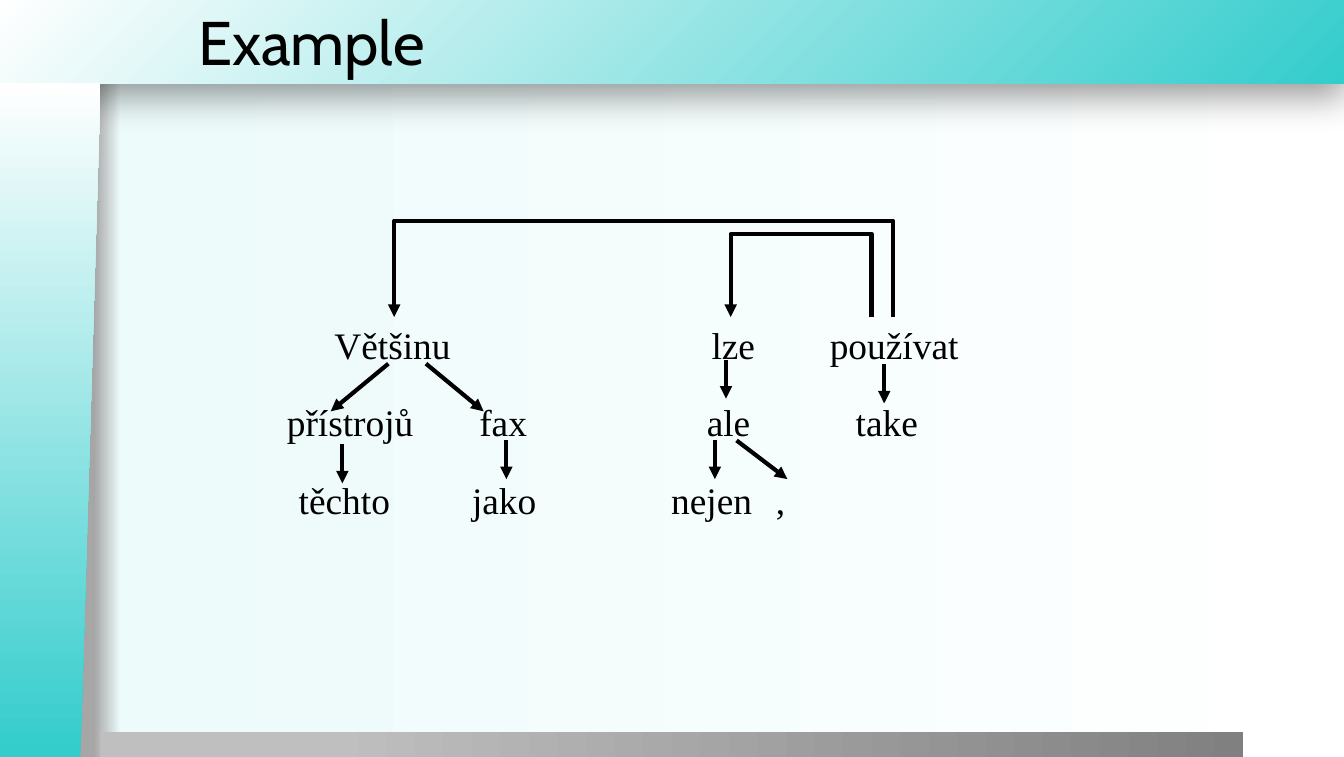
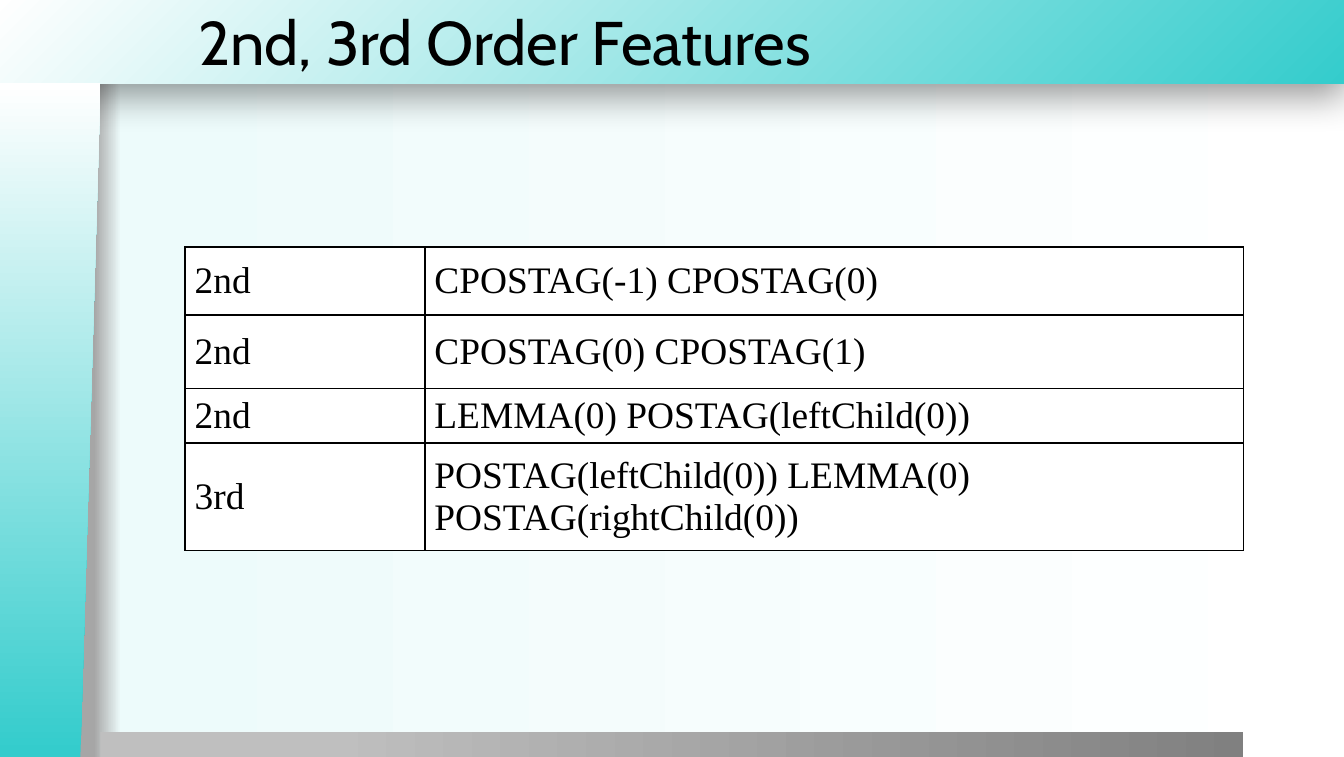
from dataclasses import dataclass

from lxml.etree import SubElement as Sub
from pptx import Presentation
from pptx.dml.color import RGBColor as Rgb
from pptx.enum.shapes import MSO_CONNECTOR as Link, MSO_SHAPE as Kind
from pptx.enum.text import MSO_ANCHOR as Anchor, MSO_AUTO_SIZE as Auto, PP_ALIGN as Align
from pptx.oxml.ns import qn
from pptx.util import Cm, Pt


@dataclass(frozen=True)
class Theme:
    """Colours, fonts and sizes of the deck."""
    ink: str = "000000"
    paper: str = "FFFFFF"
    teal: str = "34CCCC"
    mint: str = "EDFBFB"
    edge: str = "A6A6A6"
    light: str = "BFBFBF"
    dark: str = "808080"
    head: str = "Cabin"
    body: str = "Times New Roman"
    big: float = 33
    text: float = 20
    line: float = 2.25
    rule: float = 1


T = Theme()
ROW, STEP = 6.08, 1.47
WORDS = [
    ("Většinu", 7.42, 0), ("lze", 13.86, 0), ("používat", 16.9, 0),
    ("přístrojů", 6.62, 1), ("fax", 9.51, 1), ("ale", 13.77, 1), ("take", 16.76, 1),
    ("těchto", 6.51, 2), ("jako", 9.53, 2), ("nejen", 13.45, 2), (",", 14.75, 2),
]
ARROWS = [
    (7.34, 6.87, 6.25, 7.77), (8.05, 6.87, 9.14, 7.77),
    (13.72, 6.8, 13.72, 7.53), (16.71, 6.87, 16.71, 7.62),
    (6.47, 8.39, 6.47, 9.13), (9.57, 8.32, 9.57, 9.05),
    (13.51, 8.32, 13.51, 9.05), (13.92, 8.32, 14.88, 9.05),
]
ARCS = [(16.47, 13.81, 4.42), (16.88, 7.45, 4.17)]
BASE = 5.99
RULES = [
    ("2nd", "CPOSTAG(-1) CPOSTAG(0)"),
    ("2nd", "CPOSTAG(0) CPOSTAG(1)"),
    ("2nd", "LEMMA(0) POSTAG(leftChild(0))"),
    ("3rd", "POSTAG(leftChild(0)) LEMMA(0) POSTAG(rightChild(0))"),
]
COLS = [4.53, 15.47]
ROWS = [1.28, 1.39, 1.03, 2.03]


def tint(node, color, alpha=None):
    """Add an RGB colour to an XML node."""
    item = Sub(node, qn("a:srgbClr"), val=color)
    if alpha:
        Sub(item, qn("a:alpha"), val=str(alpha * 1000))


def blend(fill, root, stops, round_=False):
    """Give a fill a level or a corner gradient."""
    fill.gradient()
    grad = next(root.iter(qn("a:gradFill")))
    grad.clear()
    grad.set("rotWithShape", "1")
    group = Sub(grad, qn("a:gsLst"))
    for pos, color in stops:
        tint(Sub(group, qn("a:gs"), pos=str(pos * 1000)), color)
    if round_:
        path = Sub(grad, qn("a:path"), path="circle")
        Sub(path, qn("a:fillToRect"), l="100000", t="100000")
    else:
        Sub(grad, qn("a:lin"), ang="0", scaled="0")


def band(slide, kind, box, stops, round_=False):
    """Draw a band with a gradient and no outline."""
    shape = slide.shapes.add_shape(kind, *map(Cm, box))
    shape.shadow.inherit = False
    shape.line.fill.background()
    blend(shape.fill, shape.element, stops, round_)
    return shape


def dress(layout, slide):
    """Put the background and the bands on the layout."""
    blend(layout.background.fill, layout.element,
          [(7, T.edge), (9, T.mint), (100, T.paper)])
    top = band(slide, Kind.RECTANGLE, (-0.02, 0, 25.42, 1.58),
               [(0, T.teal), (100, T.paper)], True)
    shade = Sub(top.element.spPr.find(qn("a:effectLst")), qn("a:outerShdw"),
                blurRad=str(Pt(20)), dist=str(Pt(6)), dir="5400000",
                algn="t", rotWithShape="0")
    tint(shade, T.ink, 40)
    foot = band(slide, Kind.RECTANGLE, (1.9, 13.83, 21.59, 0.48),
                [(20, T.light), (100, T.dark)])
    side = band(slide, Kind.FLOWCHART_MANUAL_INPUT, (-5.43, 6.99, 12.75, 1.91),
                [(1, T.teal), (100, T.paper)])
    side.rotation = 270
    side.element.spPr.xfrm.set("flipV", "1")
    for n, shape in enumerate((top, foot, side)):
        shape.element.nvSpPr.cNvPr.set("id", str(100 + n))
        layout.shapes.element.insert(2 + n, shape.element)


def write(para, text, font=T.body, size=T.text):
    """Add one run in the given font."""
    run = para.add_run()
    run.text = text
    run.font.name = font
    run.font.size = Pt(size)
    run.font.color.rgb = Rgb.from_string(T.ink)


def head(slide, text):
    """Place and fill the title."""
    shape = slide.shapes.title
    shape.left, shape.top, shape.width, shape.height = map(Cm, (3.49, 0, 20.9, 1.55))
    frame = shape.text_frame
    frame.auto_size = Auto.NONE
    frame.word_wrap = True
    frame.vertical_anchor = Anchor.MIDDLE
    para = frame.paragraphs[0]
    para.alignment = Align.LEFT
    write(para, text, T.head, T.big)


def word(slide, text, mid, level):
    """Centre a word of the tree on its level."""
    wide = 2.67 if len(text) > 1 else 0.6
    box = slide.shapes.add_textbox(
        Cm(mid - wide / 2), Cm(ROW + level * STEP), Cm(wide), Cm(0.8))
    frame = box.text_frame
    frame.word_wrap = True
    frame.margin_left = frame.margin_right = frame.margin_top = frame.margin_bottom = 0
    frame.paragraphs[0].alignment = Align.CENTER
    write(frame.paragraphs[0], text)


def tip(shape):
    """Style a line and end it with an arrowhead."""
    shape.line.color.rgb = Rgb.from_string(T.ink)
    shape.line.width = Pt(T.line)
    line = shape.element.spPr.find(qn("a:ln"))
    Sub(line, qn("a:round"))
    Sub(line, qn("a:tailEnd"), type="triangle")


def arrow(slide, ends):
    """Draw a straight arrow."""
    shape = slide.shapes.add_connector(Link.STRAIGHT, *map(Cm, ends))
    tip(shape)
    Sub(shape.element.spPr, qn("a:effectLst"))


def arc(slide, start, end, top):
    """Draw a square arrow over the words."""
    form = slide.shapes.build_freeform(Cm(start), Cm(BASE))
    spots = [(start, top), (end, top), (end, BASE)]
    form.add_line_segments([(Cm(x), Cm(y)) for x, y in spots], close=False)
    shape = form.convert_to_shape()
    shape.fill.background()
    tip(shape)
    shape.shadow.inherit = False


def frame_in(cell):
    """Rule the four sides of a cell."""
    props = cell._tc.get_or_add_tcPr()
    for n, side in enumerate(("lnL", "lnR", "lnT", "lnB")):
        line = Sub(props, qn(f"a:{side}"), w=str(Pt(T.rule)))
        tint(Sub(line, qn("a:solidFill")), T.ink)
        props.insert(n, line)


def grid(slide, rows):
    """Build the table of features."""
    table = slide.shapes.add_table(
        len(rows), len(COLS), Cm(3.5), Cm(4.67), Cm(sum(COLS)), Cm(sum(ROWS))).table
    table.first_row = table.horz_banding = False
    for col, wide in zip(table.columns, COLS):
        col.width = Cm(wide)
    for row, high, texts in zip(table.rows, ROWS, rows):
        row.height = Cm(high)
        for cell, text in zip(row.cells, texts):
            cell.fill.solid()
            cell.fill.fore_color.rgb = Rgb.from_string(T.paper)
            cell.margin_left = cell.margin_right = Cm(0.18)
            cell.margin_top = cell.margin_bottom = 0
            cell.vertical_anchor = Anchor.MIDDLE
            frame_in(cell)
            write(cell.text_frame.paragraphs[0], text)


def main():
    """Build both slides and save them."""
    deck = Presentation()
    deck.slide_width, deck.slide_height = Cm(25.4), Cm(14.3)
    layout = deck.slide_layouts[5]
    tree = deck.slides.add_slide(layout)
    dress(layout, tree)
    head(tree, "Example")
    for ends in ARCS:
        arc(tree, *ends)
    for item in WORDS:
        word(tree, *item)
    for ends in ARROWS:
        arrow(tree, ends)
    order = deck.slides.add_slide(layout)
    head(order, "2nd, 3rd Order Features")
    grid(order, RULES)
    deck.save("out.pptx")


if __name__ == "__main__":
    main()
